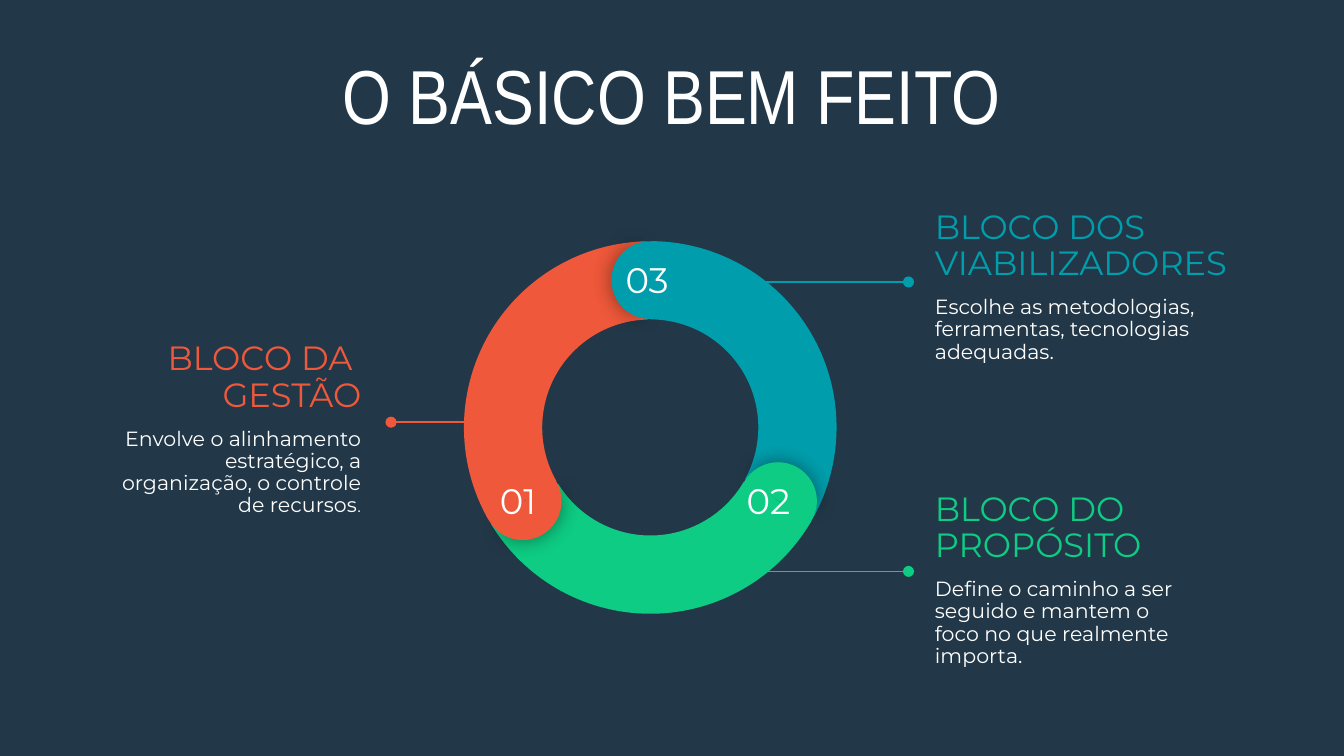
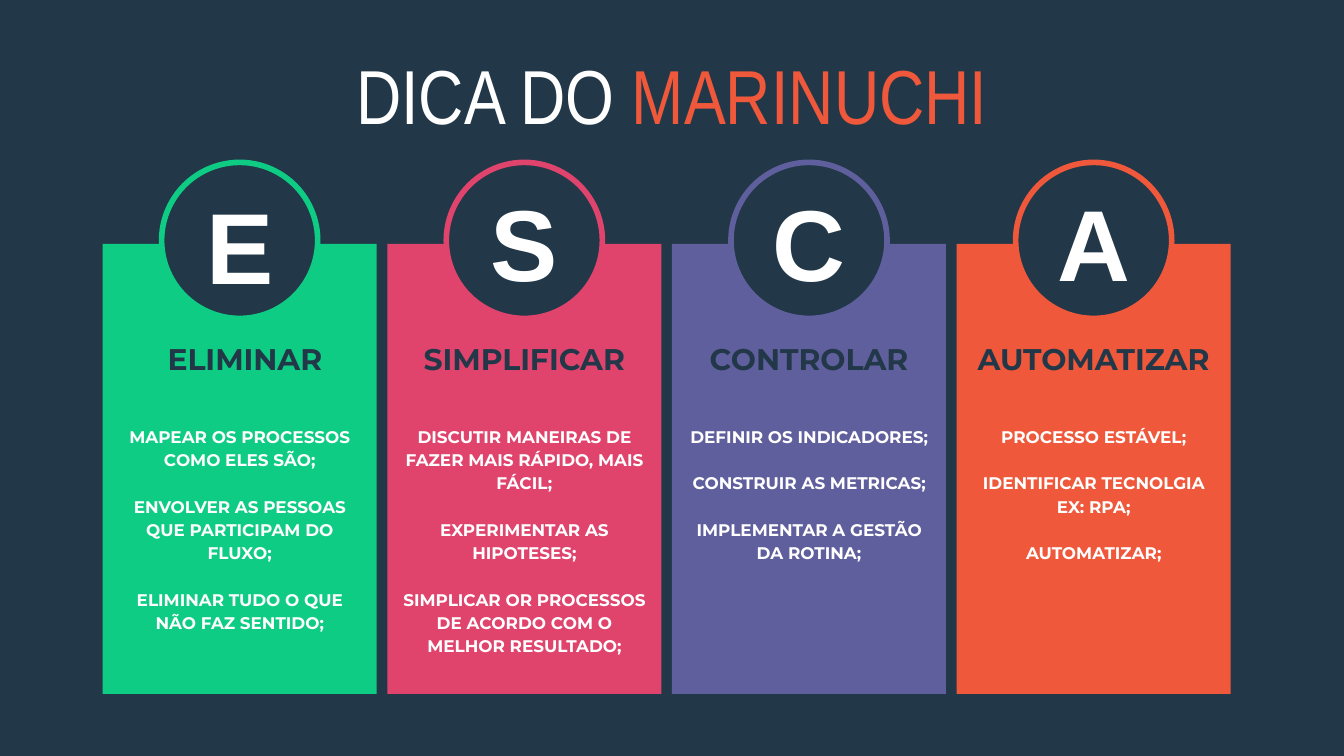
from dataclasses import dataclass
from math import cos, radians, sin

from lxml.etree import SubElement
from pptx import Presentation
from pptx.dml.color import RGBColor
from pptx.enum.shapes import MSO_CONNECTOR as Connector, MSO_SHAPE as Shape
from pptx.enum.text import MSO_ANCHOR as Anchor, PP_ALIGN as Align
from pptx.oxml.ns import qn
from pptx.util import Cm, Pt


@dataclass(frozen=True)
class Theme:
    navy: str = "223848"
    white: str = "FFFFFF"
    orange: str = "EF583A"
    teal: str = "009EAC"
    green: str = "0ECC83"
    pink: str = "E0446D"
    purple: str = "605F9D"
    title_font: str = "Arial Narrow"
    letter_font: str = "Arial"
    text_font: str = "Montserrat"
    title: float = 41
    letter: float = 54
    number: float = 19
    block_name: float = 18
    column_name: float = 16
    note: float = 11
    item: float = 9
    full_stop: float = 8


THEME = Theme()

BASICS_TITLE = [("O BÁSICO BEM FEITO", THEME.white)]
TIP_TITLE = [("DICA DO ", THEME.white), ("MARINUCHI", THEME.orange)]

BLOCKS = [
    dict(number="03 ", nudge=0.03, color=THEME.teal, turn=60,
         names=["BLOCO DOS VIABILIZADORES"],
         note="Escolhe as metodologias, ferramentas, tecnologias adequadas.", stop="",
         box=(17.42, 3.78, 6.45, 3.28), align=Align.LEFT, line=(13.92, 17.17, 5.33)),
    dict(number="02 ", nudge=-0.09, color=THEME.green, turn=180,
         names=["BLOCO DO PROPÓSITO"],
         note="Define o caminho a ser seguido e mantem o foco no que realmente importa.", stop="",
         box=(17.42, 9.32, 5.38, 3.28), align=Align.LEFT, line=(13.92, 17.17, 10.8)),
    dict(number="01 ", nudge=0, color=THEME.orange, turn=300,
         names=["BLOCO DA ", "GESTÃO"],
         note="Envolve o alinhamento estratégico, a organização, o controle de recursos", stop=".",
         box=(1.7, 6.48, 5.38, 3.28), align=Align.RIGHT, line=(9.02, 7.39, 7.98)),
]

COLUMNS = [
    dict(letter="E", letter_top=3.35, name="ELIMINAR", shift=0.1, color=THEME.green, items=[
        "MAPEAR OS PROCESSOS COMO ELES SÃO;",
        "ENVOLVER AS PESSOAS QUE PARTICIPAM DO FLUXO;",
        "ELIMINAR TUDO O QUE NÃO FAZ SENTIDO;"]),
    dict(letter="S", letter_top=3.28, name="SIMPLIFICAR", shift=0, color=THEME.pink, items=[
        "DISCUTIR MANEIRAS DE FAZER MAIS RÁPIDO, MAIS FÁCIL;",
        "EXPERIMENTAR AS HIPOTESES;",
        "SIMPLICAR OR PROCESSOS DE ACORDO COM O MELHOR RESULTADO;"]),
    dict(letter="C", letter_top=3.28, name="CONTROLAR", shift=0, color=THEME.purple, items=[
        "DEFINIR OS INDICADORES;",
        "CONSTRUIR AS METRICAS;",
        "IMPLEMENTAR A GESTÃO DA ROTINA;"]),
    dict(letter="A", letter_top=3.28, name="AUTOMATIZAR", shift=0, color=THEME.orange, items=[
        "PROCESSO ESTÁVEL;",
        "IDENTIFICAR TECNOLGIA EX: RPA;",
        "AUTOMATIZAR;"]),
]

RING_X, RING_Y, RING_SIZE, CAP_SIZE = 12.29, 8.08, 7.04, 1.47
ARC = (126.23, 197.2, 0.21)
CAP_FRONT = (61.9, 149.96)
CAP_BACK = (40.28, 171.84)
COLUMN_LEFT, COLUMN_PITCH, COLUMN_WIDTH = 1.94, 5.38, 5.18
COLUMN_TOP, COLUMN_HEIGHT = 4.61, 8.51
CIRCLE_TOP, CIRCLE_SIZE, LETTER_WIDTH = 3.07, 2.95, 2.92


def rgb(color):
    return RGBColor.from_string(color)


def cms(values):
    return [Cm(value) for value in values]


def run(text, size, color, font=THEME.text_font, bold=False):
    return text, size, color, font, bold


def add_text(page, area, paras, align=Align.CENTER, inset=(0.25, 0.25),
             anchor=Anchor.TOP, spacing=1.0):
    frame = page.shapes.add_textbox(*cms(area)).text_frame
    frame.word_wrap = True
    frame.vertical_anchor = anchor
    frame.margin_left = frame.margin_right = Cm(inset[0])
    frame.margin_top = frame.margin_bottom = Cm(inset[1])
    for index, (before, runs) in enumerate(paras):
        para = frame.add_paragraph() if index else frame.paragraphs[0]
        para.alignment = align
        para.line_spacing = spacing
        para.space_before = Pt(before)
        for text, size, color, font, bold in runs:
            span = para.add_run()
            span.text = text
            span.font.size = Pt(size)
            span.font.name = font
            span.font.bold = bold
            span.font.color.rgb = rgb(color)


def add_filled(page, kind, area, color, outline=None, turn=0, adjustments=()):
    shape = page.shapes.add_shape(kind, *cms(area))
    shape.rotation = turn % 360
    for index, value in enumerate(adjustments):
        shape.adjustments[index] = value
    shape.fill.solid()
    shape.fill.fore_color.rgb = rgb(color)
    if outline:
        shape.line.color.rgb = rgb(outline)
        shape.line.width = Pt(3)
    else:
        shape.line.fill.background()
    shape.shadow.inherit = False
    return shape


def add_glow(shape):
    effects = shape.element.spPr.find(qn("a:effectLst"))
    shadow = SubElement(effects, qn("a:outerShdw"), blurRad=str(Pt(11.2)),
                        dist="0", dir="0", algn="ctr", rotWithShape="0")
    black = SubElement(shadow, qn("a:srgbClr"), val="000000")
    SubElement(black, qn("a:alpha"), val="43000")


def add_pointer(page, start, end, height, color):
    pointer = page.shapes.add_connector(
        Connector.STRAIGHT, *cms((start, height, end, height)))
    pointer.line.color.rgb = rgb(color)
    pointer.line.width = Pt(0.75)
    SubElement(pointer.line._get_or_add_ln(), qn("a:tailEnd"), type="oval")
    SubElement(pointer.element.spPr, qn("a:effectLst"))


def add_page(deck, title):
    page = deck.slides.add_slide(deck.slide_layouts[6])
    page.background.fill.solid()
    page.background.fill.fore_color.rgb = rgb(THEME.navy)
    runs = [run(text, THEME.title, color, THEME.title_font) for text, color in title]
    add_text(page, (0, 0.76, 25.4, 2.03), [(0, runs)], inset=(0.15, 0.15))
    return page


def centred(x, y, size):
    return x - size / 2, y - size / 2, size, size


def draw_note(page, block):
    paras = [(0, [run(name, THEME.block_name, block["color"])]) for name in block["names"]]
    runs = [run(block["note"], THEME.note, THEME.white)]
    if block["stop"]:
        runs.append(run(block["stop"], THEME.full_stop, THEME.white, THEME.letter_font))
    paras.append((7.7, runs))
    add_text(page, block["box"], paras, block["align"], anchor=Anchor.MIDDLE, spacing=0.9)
    add_pointer(page, *block["line"], block["color"])


def draw_cap(page, block):
    turn, color = block["turn"], block["color"]
    angle = radians(turn + 210)
    orbit = (RING_SIZE - CAP_SIZE) / 2
    x, y = RING_X + orbit * cos(angle), RING_Y + orbit * sin(angle)
    area = centred(x, y, CAP_SIZE)
    add_glow(add_filled(page, Shape.PIE, area, color, turn=turn - 59.4, adjustments=CAP_FRONT))
    add_filled(page, Shape.PIE, area, color, turn=turn + 120, adjustments=CAP_BACK)
    add_text(page, (x - 0.75 + block["nudge"], y - 0.67, 1.5, 0.69),
             [(0, [run(block["number"], THEME.number, THEME.white)])])


def draw_basics(deck):
    page = add_page(deck, BASICS_TITLE)
    for block in BLOCKS:
        draw_note(page, block)
    for block in BLOCKS:
        add_filled(page, Shape.BLOCK_ARC, centred(RING_X, RING_Y, RING_SIZE),
                   block["color"], turn=block["turn"], adjustments=ARC)
    for block in BLOCKS:
        draw_cap(page, block)


def draw_column(page, left, column):
    middle = left + COLUMN_WIDTH / 2
    color = column["color"]
    add_filled(page, Shape.RECTANGLE, (left, COLUMN_TOP, COLUMN_WIDTH, COLUMN_HEIGHT), color)
    add_filled(page, Shape.OVAL,
               (middle - CIRCLE_SIZE / 2, CIRCLE_TOP, CIRCLE_SIZE, CIRCLE_SIZE),
               THEME.navy, outline=color)
    letter = run(column["letter"], THEME.letter, THEME.white, THEME.letter_font, True)
    add_text(page, (middle - LETTER_WIDTH / 2, column["letter_top"], LETTER_WIDTH, 2.57),
             [(0, [letter])], inset=(0.25, 0.13))
    name = run(column["name"], THEME.column_name, THEME.navy, bold=True)
    add_text(page, (left + column["shift"], 6.48, COLUMN_WIDTH, 0.76),
             [(0, [name])], inset=(0.18, 0.1), spacing=0.8)
    items = [(12.6 if index else 0, [run(item, THEME.item, THEME.white, bold=True)])
             for index, item in enumerate(column["items"])]
    add_text(page, (left, 7.75, COLUMN_WIDTH, 4.93), items, spacing=1.15)


def draw_tip(deck):
    page = add_page(deck, TIP_TITLE)
    for index, column in enumerate(COLUMNS):
        draw_column(page, COLUMN_LEFT + index * COLUMN_PITCH, column)


def main():
    deck = Presentation()
    deck.slide_width, deck.slide_height = Cm(25.4), Cm(14.29)
    draw_basics(deck)
    draw_tip(deck)
    deck.save("out.pptx")


if __name__ == "__main__":
    main()
